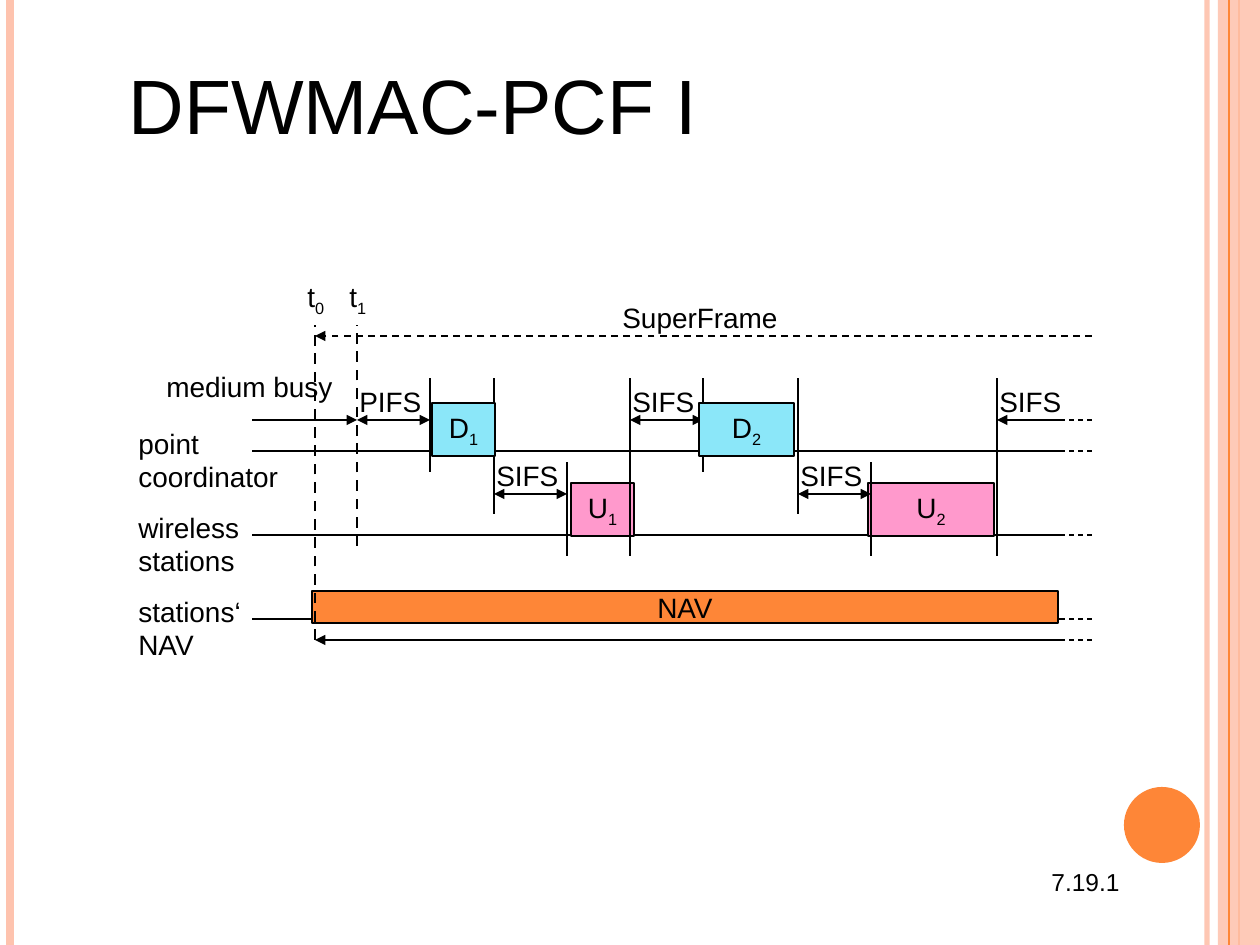
import pptx
import pptx.dml.color
import pptx.enum.dml
import pptx.enum.shapes
import pptx.enum.text
import pptx.oxml
import pptx.oxml.ns
import pptx.util

PX = 914400 / 126
COLOURS = {"black": "000000", "orange": "FE8637", "peach": "FEC3AE",
           "down": "8BE7F9", "up": "FF99CC"}
Shape = pptx.enum.shapes.MSO_SHAPE
Anchor = pptx.enum.text.MSO_ANCHOR
Align = pptx.enum.text.PP_ALIGN


def emu(px):
    return pptx.util.Emu(round(px * PX))


def add_element(parent, tag, **attributes):
    element = pptx.oxml.parse_xml(f"<{tag} {pptx.oxml.ns.nsdecls('a')}/>")
    for name, value in attributes.items():
        element.set(name, value)
    parent.append(element)


class Diagram:
    """Draws on one slide with a shared font and palette."""

    font = "Arial"

    def __init__(self, page):
        self.page = page

    def paint(self, target, colour, opacity=100):
        target.solid()
        target.fore_color.rgb = pptx.dml.color.RGBColor.from_string(COLOURS[colour])
        if opacity < 100:
            for choice in target._xPr.iter(pptx.oxml.ns.qn("a:srgbClr")):
                add_element(choice, "a:alpha", val=str(opacity * 1000))

    def set_text(self, shape, text, size=16, anchor=Anchor.TOP, align=Align.LEFT, wrap=False):
        """Fill a shape with text; an underscore starts a subscript."""
        frame = shape.text_frame
        frame.word_wrap = wrap
        frame.auto_size = pptx.enum.text.MSO_AUTO_SIZE.NONE
        frame.vertical_anchor = anchor
        for index, line in enumerate(text.split("\n")):
            para = frame.add_paragraph() if index else frame.paragraphs[0]
            para.alignment = align
            para.font.name = self.font
            para.font.size = pptx.util.Pt(size)
            para.font.color.rgb = pptx.dml.color.RGBColor.from_string(COLOURS["black"])
            base, _, subscript = line.partition("_")
            para.add_run().text = base
            if subscript:
                span = para.add_run()
                span.text = subscript
                span._r.get_or_add_rPr().set("baseline", "-25000")

    def title(self, text, left, top, width, height):
        box = self.page.shapes.title
        box.left, box.top, box.width, box.height = map(emu, (left, top, width, height))
        self.set_text(box, text, size=44, anchor=Anchor.MIDDLE, wrap=True)

    def label(self, text, left, top, width, height=47, size=16):
        box = self.page.shapes.add_textbox(*map(emu, (left, top, width, height)))
        self.set_text(box, text, size)

    def block(self, colour, left, top, width, height, text="", kind=Shape.RECTANGLE,
              opacity=100):
        """Add a filled shape, outlined only when it carries text."""
        shape = self.page.shapes.add_shape(kind, *map(emu, (left, top, width, height)))
        shape.shadow.inherit = False
        self.paint(shape.fill, colour, opacity)
        if text:
            self.paint(shape.line.fill, "black")
            shape.line.width = pptx.util.Pt(0.75)
            self.set_text(shape, text, anchor=Anchor.MIDDLE, align=Align.CENTER)
        else:
            shape.line.fill.background()

    def line(self, x1, y1, x2, y2, weight=0.75, colour="black", dashed=False,
             head=False, tail=False, opacity=100):
        """Add a line; head is an arrowhead at the start, tail at the end."""
        line = self.page.shapes.add_connector(
            pptx.enum.shapes.MSO_CONNECTOR.STRAIGHT, *map(emu, (x1, y1, x2, y2)))
        line.line.width = pptx.util.Pt(weight)
        self.paint(line.line.fill, colour, opacity)
        if dashed:
            line.line.dash_style = pptx.enum.dml.MSO_LINE.DASH
        outline = line.line._get_or_add_ln()
        for wanted, tag in ((head, "a:headEnd"), (tail, "a:tailEnd")):
            if wanted:
                add_element(outline, tag, type="triangle")
        add_element(line._element.spPr, "a:effectLst")

    def interval(self, text, start, end, y, head=True, tail=True):
        """Add a spacing arrow with its name above it."""
        self.line(start, y, end, y, head=head, tail=tail)
        self.label(text, start - 10, y - 42, 87)


def draw_frame(diagram):
    diagram.line(1207, 0, 1207, 945, 3, "peach", opacity=93)
    diagram.line(10, 0, 10, 945, 4.5, "peach")
    diagram.line(1239, 0, 1239, 945, 1.5, "orange")
    diagram.block("peach", 1218, 0, 42, 945, opacity=87)
    diagram.line(1229, 0, 1229, 945, 0.75, "orange")
    diagram.block("orange", 1124, 787, 76, 76, kind=Shape.OVAL)


def draw_timing(diagram):
    t0, t1, solid_end, dash_end = 315, 357, 1060, 1092
    upper, lower = 420, 494
    nav_end = 640
    baselines = {"point\ncoordinator": 451, "wireless\nstations": 535, "stations‘\nNAV": 619}

    for name, y in baselines.items():
        diagram.line(252, y, solid_end, y)
        diagram.label(name, 126, y - 31, 165, 81)
    for y in (upper, *baselines.values(), nav_end):
        diagram.line(solid_end, y, dash_end, y, dashed=True)

    for x, bottom in ((430, 472), (494, 514), (703, 472), (798, 514)):
        diagram.line(x, bottom, x, 378)

    diagram.line(252, upper, t1, upper, tail=True)
    diagram.interval("PIFS", t1, 430, upper)
    diagram.interval("SIFS", 630, 703, upper)
    diagram.interval("SIFS", 997, solid_end, upper, tail=False)

    for text, colour, left, top, width in (
            ("D_1", "down", 432, 403, 63), ("U_1", "up", 571, 483, 63),
            ("D_2", "down", 699, 403, 95), ("U_2", "up", 868, 483, 126)):
        diagram.block(colour, left, top, width, 53, text)
    diagram.block("orange", 312, 591, 746, 32, "NAV")

    diagram.interval("SIFS", 494, 567, lower)
    diagram.interval("SIFS", 798, 871, lower)
    for x, top in ((567, 462), (630, 378), (871, 462), (997, 378)):
        diagram.line(x, 556, x, top)

    for text, x, bottom in (("t_0", t0, nav_end), ("t_1", t1, 546)):
        diagram.line(x, bottom, x, 325, 1.5, dashed=True)
        diagram.label(text, x - 20, 273, 42, 52)
    diagram.line(solid_end, nav_end, t0, nav_end, tail=True)
    diagram.line(dash_end, 336, t0, 336, 1, dashed=True, tail=True)
    diagram.label("SuperFrame", 610, 294, 180)
    diagram.label("medium busy", 154, 363, 199)


def main():
    deck = pptx.Presentation()
    deck.slide_width, deck.slide_height = emu(1260), emu(945)
    diagram = Diagram(deck.slides.add_slide(deck.slide_layouts[5]))
    draw_frame(diagram)
    diagram.title("DFWMAC-PCF I", 116, 72, 1071, 63)
    draw_timing(diagram)
    diagram.label("7.19.1", 1039, 861, 93, 43, size=14)
    deck.save("out.pptx")


if __name__ == "__main__":
    main()
